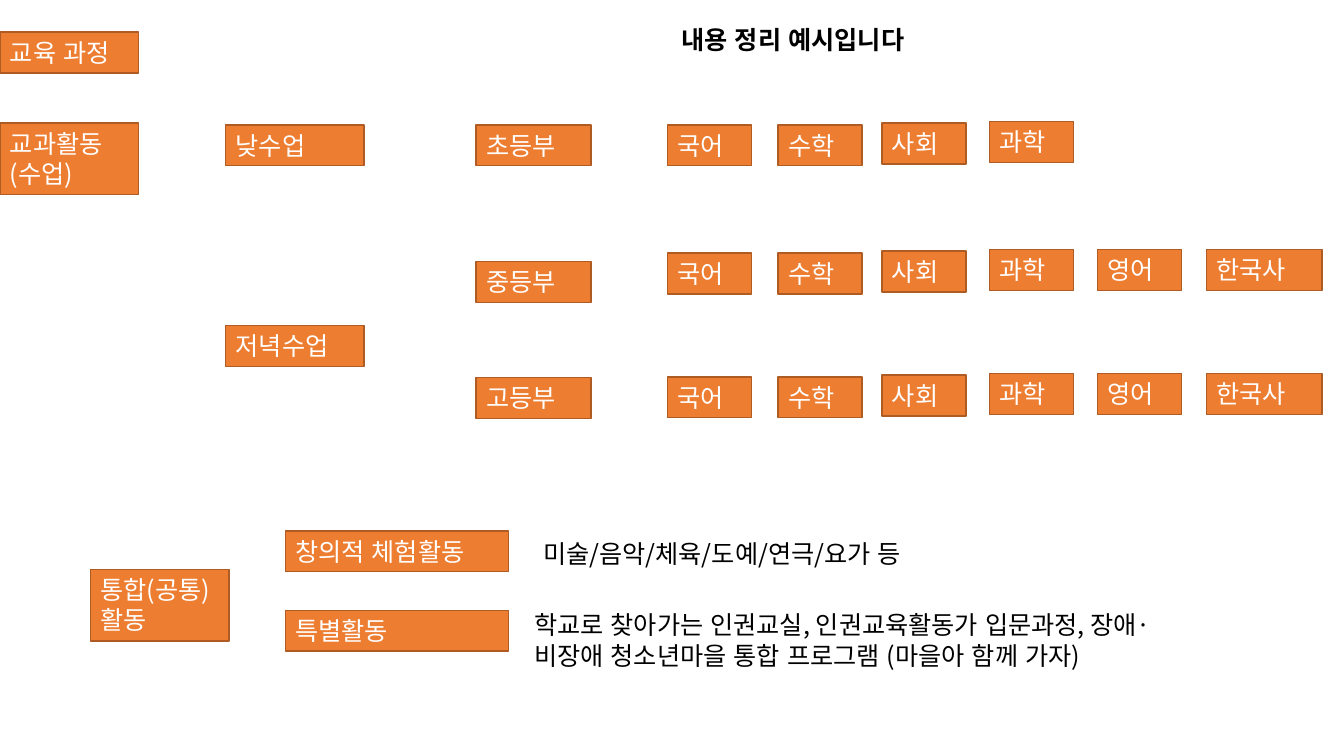
from pptx import Presentation
from pptx.dml.color import RGBColor
from pptx.enum.lang import MSO_LANGUAGE_ID
from pptx.enum.shapes import MSO_SHAPE
from pptx.enum.text import MSO_ANCHOR, MSO_AUTO_SIZE, PP_ALIGN
from pptx.util import Cm, Pt
from lxml.etree import SubElement
from pptx.oxml.ns import qn

COLORS = {"box": "ED7D31", "edge": "AF5C24", "light": "FFFFFF", "dark": "000000"}
FONT = "Noto Sans CJK KR"
ROW_H, TALL_H = 1.03, 1.8

TITLE = "내용 정리 예시입니다"
COURSES = [
    ("교육 과정", 0, 0.81, 3.49, ROW_H),
    ("교과활동(수업)", 0, 3.1, 3.49, TALL_H),
    ("통합(공통) 활동", 2.28, 14.35, 3.49, TALL_H),
    ("낮수업", 5.69, 3.15, 3.49, ROW_H),
    ("저녁수업", 5.69, 8.2, 3.49, ROW_H),
    ("창의적 체험활동", 7.19, 13.38, 5.62, ROW_H),
    ("특별활동", 7.19, 15.38, 5.62, ROW_H),
]
SUBJECTS = [
    ("국어", 16.82, 0, 2.12),
    ("수학", 19.61, 0, 2.12),
    ("사회", 22.23, -0.05, 2.12),
    ("과학", 24.94, -0.09, 2.12),
    ("영어", 27.66, -0.09, 2.12),
    ("한국사", 30.4, -0.09, 2.92),
]
SCHOOLS = [("초등부", 3.15, 3.15, 4), ("중등부", 6.59, 6.38, 6), ("고등부", 9.52, 9.5, 6)]
DETAILS = [
    ("미술/음악/체육/도예/연극/요가 등", 13.44, 13.36, 17.02, 1,
     {"alignment": PP_ALIGN.JUSTIFY, "line_spacing": 1.1}, {}),
    ("학교로 찾아가는 인권교실, 인권교육활동가 입문과정, 장애·비장애 청소년마을 통합 프로그램 (마을아 함께 가자)",
     13.21, 15.24, 16.89, TALL_H, {}, {"margin_right": Cm(0.55)}),
]


def rgb(name):
    return RGBColor.from_string(COLORS[name])


def apply(obj, values):
    for name, value in values.items():
        setattr(obj, name, value)


def write(sp, text, color, bold=False, para=None, frame=None):
    tf = sp.text_frame
    apply(tf, {"word_wrap": True, "vertical_anchor": MSO_ANCHOR.TOP,
               "auto_size": MSO_AUTO_SIZE.SHAPE_TO_FIT_TEXT, **(frame or {})})
    p = tf.paragraphs[0]
    apply(p, {"alignment": PP_ALIGN.LEFT, "line_spacing": 1.0, **(para or {})})
    r = p.add_run()
    r.text = text
    apply(r.font, {"name": FONT, "size": Pt(18), "bold": bold,
                   "language_id": MSO_LANGUAGE_ID.KOREAN})
    r.font.color.rgb = rgb(color)
    SubElement(r._r.get_or_add_rPr(), qn("a:ea"), typeface=FONT)


def add_box(s, text, left, top, width, height=ROW_H):
    sp = s.shapes.add_shape(MSO_SHAPE.RECTANGLE, Cm(left), Cm(top), Cm(width), Cm(height))
    sp.shadow.inherit = False
    sp.fill.solid()
    sp.fill.fore_color.rgb = rgb("box")
    sp.line.color.rgb = rgb("edge")
    sp.line.width = Pt(1)
    write(sp, text, "light")


prs = Presentation()
prs.slide_width, prs.slide_height = Cm(33.87), Cm(19.05)
s = prs.slides.add_slide(prs.slide_layouts[5])

title = s.shapes.title
apply(title, {"left": Cm(16.92), "top": Cm(0.48), "width": Cm(6.73), "height": Cm(ROW_H)})
write(title, TITLE, "dark", bold=True, frame={"word_wrap": False})

for course in COURSES:
    add_box(s, *course)

for school, top, subject_top, count in SCHOOLS:
    add_box(s, school, 12, top, 2.9)
    for subject, left, shift, width in SUBJECTS[:count]:
        add_box(s, subject, left, subject_top + shift, width)

for text, left, top, width, height, para, frame in DETAILS:
    sp = s.shapes.add_textbox(Cm(left), Cm(top), Cm(width), Cm(height))
    write(sp, text, "dark", para=para, frame=frame)

prs.save("out.pptx")
